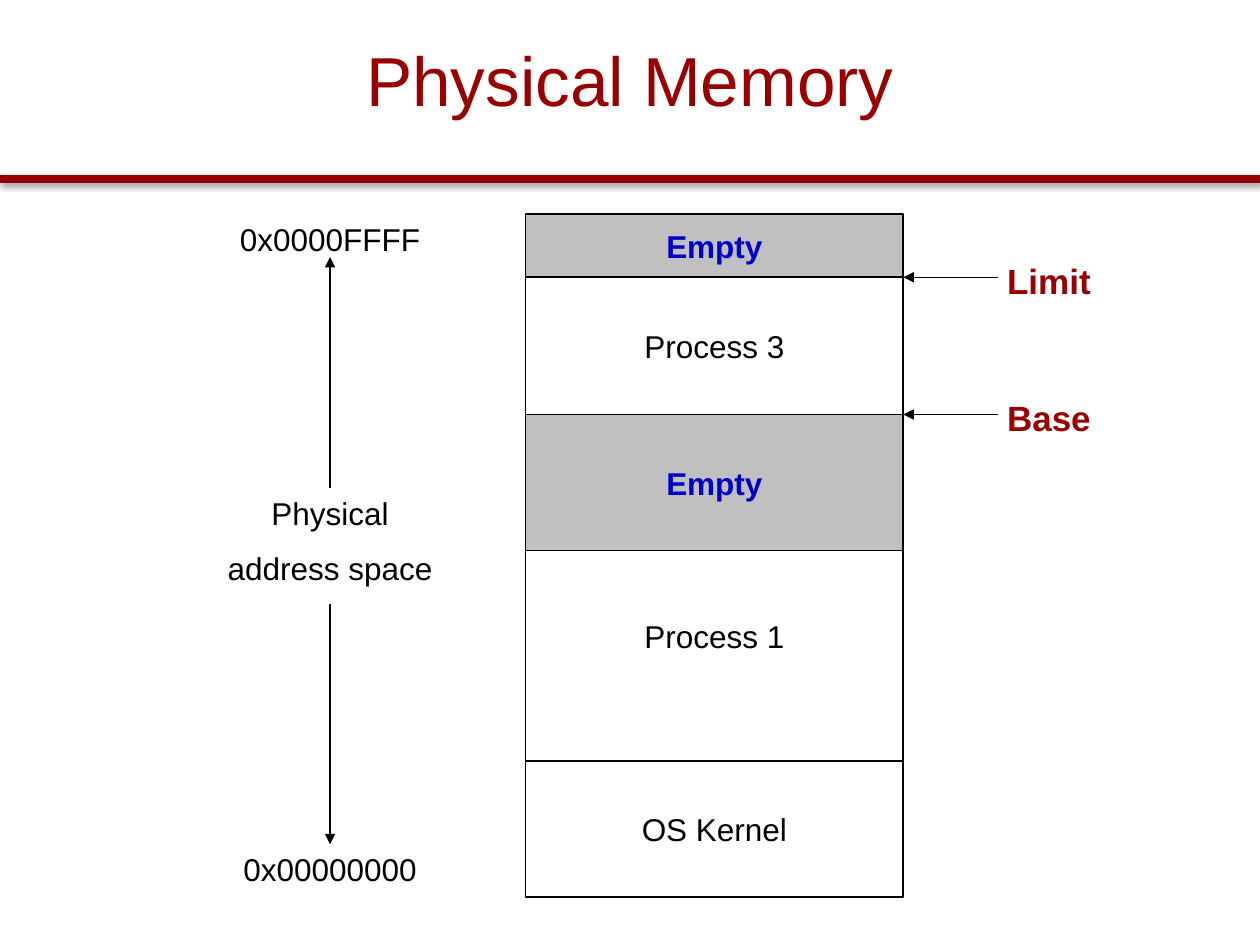
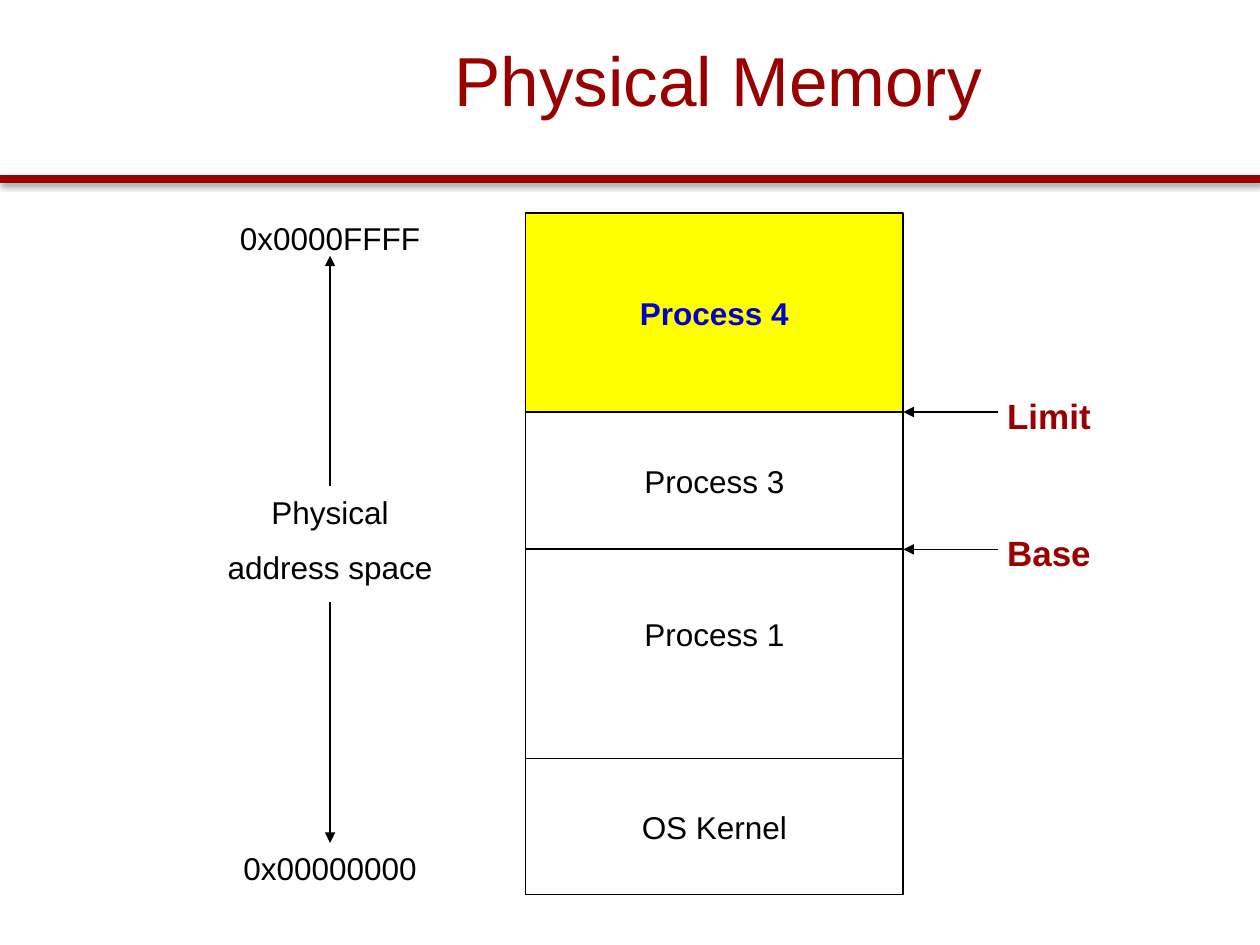
from lxml import etree
from pptx import Presentation
from pptx.dml.color import RGBColor
from pptx.enum.shapes import MSO_CONNECTOR, MSO_SHAPE
from pptx.enum.text import MSO_ANCHOR, MSO_AUTO_SIZE, PP_ALIGN
from pptx.oxml.ns import qn
from pptx.util import Inches, Pt

STRAIGHT = MSO_CONNECTOR.STRAIGHT
RECTANGLE = MSO_SHAPE.RECTANGLE
CENTER = PP_ALIGN.CENTER
MIDDLE = MSO_ANCHOR.MIDDLE
FIT_SHAPE = MSO_AUTO_SIZE.SHAPE_TO_FIT_TEXT
TOP_SIDE = 0

RED = RGBColor(0x99, 0x00, 0x00)
BLUE = RGBColor(0x00, 0x00, 0xCC)
BLACK = RGBColor(0x00, 0x00, 0x00)
WHITE = RGBColor(0xFF, 0xFF, 0xFF)
GRAY = RGBColor(0xC0, 0xC0, 0xC0)
YELLOW = RGBColor(0xFF, 0xFF, 0x00)
FONT = "Arial"

# Content: memory regions from the top down as (name, height, fill, highlighted)
KERNEL = ("OS Kernel", 1.08, None, False)
PROCESS_3 = ("Process 3", 1.09, WHITE, False)
SLIDES = [
    {
        "title": "Physical Memory", "title_left": 0.75, "top": 1.7,
        "regions": [("Empty", 0.5, GRAY, True), PROCESS_3,
                    ("Empty", 1.08, GRAY, True),
                    ("Process 1", 1.67, None, False), KERNEL],
    },
    {
        "title": "Physical Memory", "title_left": 1.45, "top": 1.69,
        "regions": [("Process 4", 1.58, YELLOW, True), PROCESS_3,
                    ("Process 1", 1.66, None, False), KERNEL],
    },
]
HIGH_ADDRESS, LOW_ADDRESS = "0x0000FFFF", "0x00000000"
SPACE_LABEL = ["Physical", "address space"]
REGISTERED_PROCESS = "Process 3"  # the region that Limit and Base enclose
RAISED_PROCESS = "Process 1"      # its name sits above the middle

# Layout, in inches
SLIDE_W, SLIDE_H = 10, 7.5
RULE_Y = 1.42
MEMORY_LEFT, MEMORY_W = 4.17, 3
POINTER_LENGTH = 0.75
REGISTER_LEFT, REGISTER_W, REGISTER_H, REGISTER_RISE = 7.89, 0.87, 0.43, 0.19
AXIS_X = 2.62
RAISED_INSET = 0.36


def write(frame, lines, size, color, bold=False, gap=0):
    """Centred lines, with a gap in points between them."""
    for number, line in enumerate(lines):
        paragraph = frame.paragraphs[0] if number == 0 else frame.add_paragraph()
        paragraph.text = line
        paragraph.alignment = CENTER
        if number:
            paragraph.space_before = Pt(gap)
        font = paragraph.font
        font.name, font.size, font.bold = FONT, Pt(size), bold
        font.color.rgb = color


def add_label(slide, lines, left, top, width, height, size=18, color=BLACK,
              bold=False):
    label = slide.shapes.add_textbox(*map(Inches, (left, top, width, height)))
    label.text_frame.word_wrap = False
    label.text_frame.auto_size = FIT_SHAPE
    write(label.text_frame, lines, size, color, bold, gap=10)
    return label


def add_line(slide, start, end, color, width, arrow=False):
    line = slide.shapes.add_connector(STRAIGHT, *map(Inches, (*start, *end)))
    line.line.color.rgb = color
    line.line.width = Pt(width)
    properties = line._element.spPr
    if arrow:
        etree.SubElement(properties.find(qn("a:ln")), qn("a:tailEnd"), type="triangle")
    effects = etree.SubElement(properties, qn("a:effectLst"))
    return line, effects


def add_header(slide, title, left):
    # Red rule with a soft shadow below it
    _, effects = add_line(slide, (0, RULE_Y), (SLIDE_W, RULE_Y), RED, 5)
    shadow = etree.SubElement(effects, qn("a:outerShdw"), blurRad=str(Pt(3.1)),
                              dist=str(Pt(1.6)), dir="5400000", rotWithShape="0")
    shade = etree.SubElement(shadow, qn("a:srgbClr"), val=str(BLACK))
    etree.SubElement(shade, qn("a:alpha"), val="38000")

    heading = slide.shapes.add_textbox(*map(Inches, (left, 0.25, 8.5, 0.75)))
    heading.text_frame.word_wrap = True
    heading.text_frame.vertical_anchor = MIDDLE
    write(heading.text_frame, [title], 39.6, RED)


def add_region(slide, name, top, height, fill, highlighted):
    region = slide.shapes.add_shape(
        RECTANGLE, *map(Inches, (MEMORY_LEFT, top, MEMORY_W, height)))
    region.shadow.inherit = False
    if fill is None:
        region.fill.background()
    else:
        region.fill.solid()
        region.fill.fore_color.rgb = fill
    region.line.color.rgb = BLACK
    region.line.width = Pt(1)
    frame = region.text_frame
    frame.word_wrap = False
    frame.vertical_anchor = MIDDLE
    if name == RAISED_PROCESS:
        frame.margin_bottom = Inches(RAISED_INSET)
    write(frame, [name], 18, BLUE if highlighted else BLACK, highlighted)


def add_register(slide, name, y):
    edge = MEMORY_LEFT + MEMORY_W
    add_label(slide, [name], REGISTER_LEFT, y - REGISTER_RISE, REGISTER_W,
              REGISTER_H, 20, RED, True)
    add_line(slide, (edge + POINTER_LENGTH, y), (edge, y), BLACK, 0.75, arrow=True)


def add_address_space(slide, top):
    def axis_label(lines, offset, width, height):
        return add_label(slide, lines, AXIS_X - width / 2, top + offset, width, height)

    def axis_arrow(start, end, width):
        return add_line(slide, (AXIS_X, top + start), (AXIS_X, top + end),
                        BLACK, width, arrow=True)[0]

    axis_label([HIGH_ADDRESS], 0, 1.64, 0.4)
    space = axis_label(SPACE_LABEL, 2.17, 1.84, 0.85)
    low = axis_label([LOW_ADDRESS], 5, 1.58, 0.4)
    axis_arrow(2.17, 0.34, 1).begin_connect(space, TOP_SIDE)
    axis_arrow(3.09, 5, 0.75).end_connect(low, TOP_SIDE)


def main():
    deck = Presentation()
    deck.slide_width, deck.slide_height = Inches(SLIDE_W), Inches(SLIDE_H)
    for content in SLIDES:
        slide = deck.slides.add_slide(deck.slide_layouts[6])
        add_header(slide, content["title"], content["title_left"])

        # Stack the regions, each starting where the last one ends
        top = content["top"]
        for name, height, fill, highlighted in content["regions"]:
            add_region(slide, name, top, height, fill, highlighted)
            if name == REGISTERED_PROCESS:
                add_register(slide, "Limit", top)
                add_register(slide, "Base", top + height)
            top += height

        add_address_space(slide, content["top"])
    deck.save("out.pptx")


if __name__ == "__main__":
    main()
